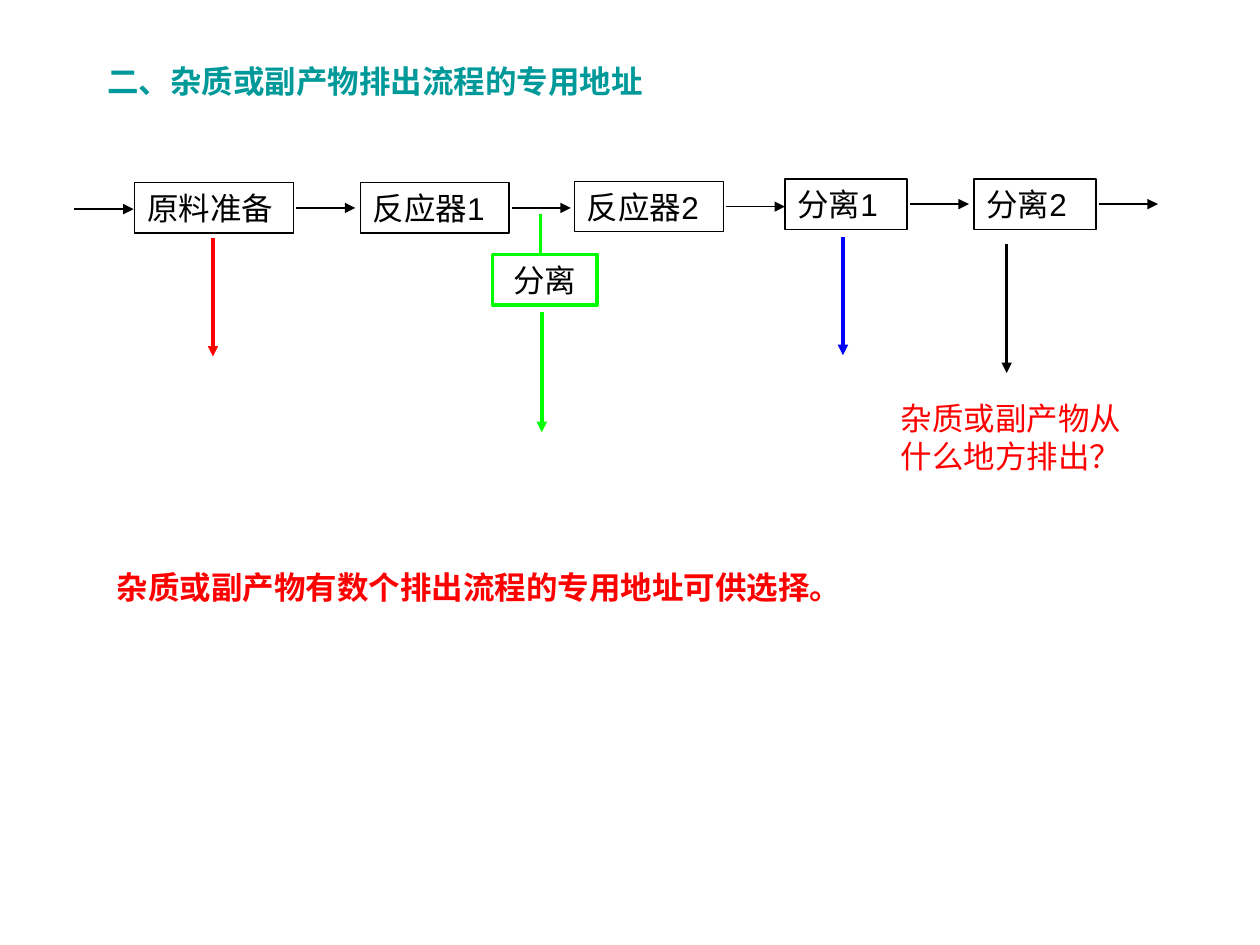
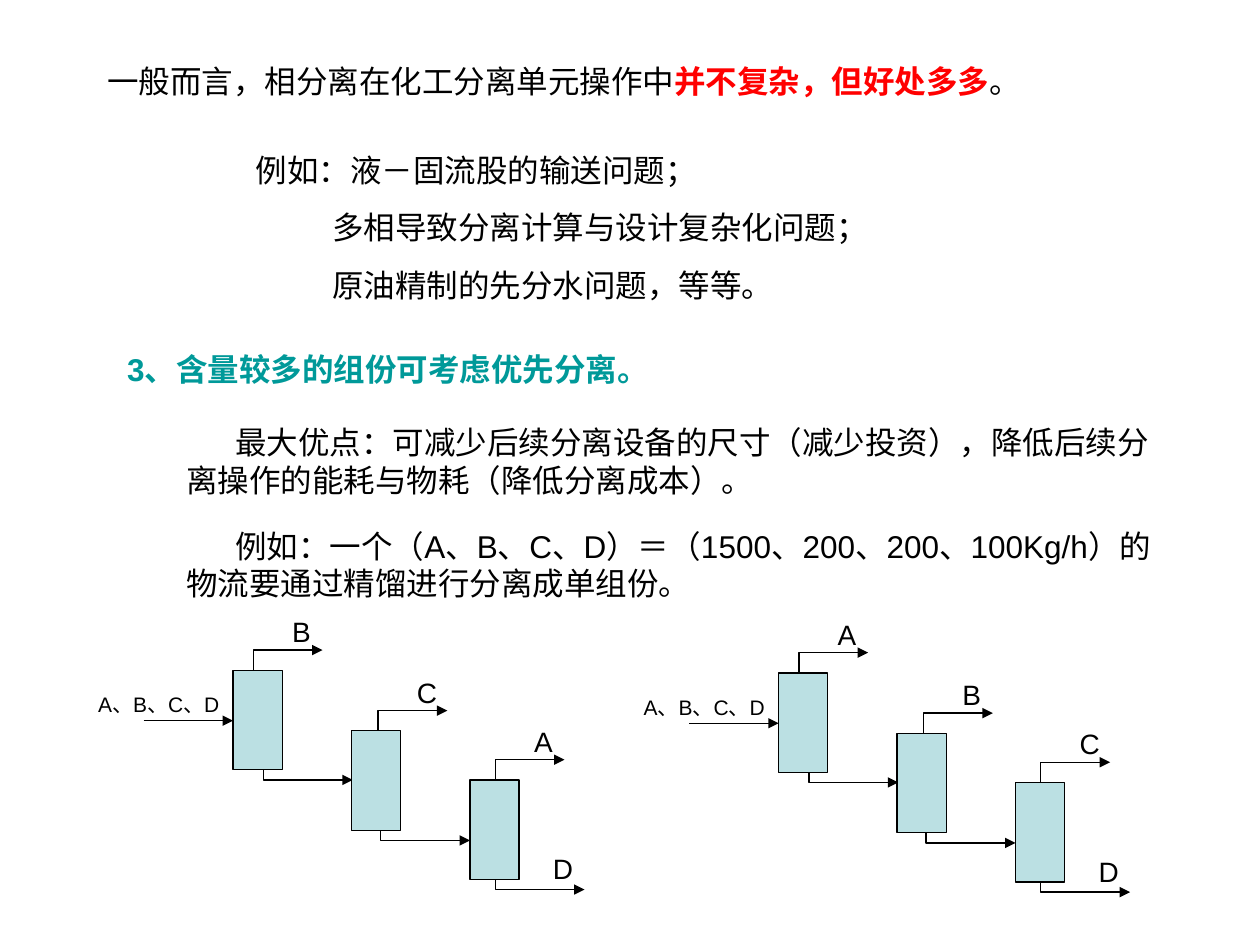
"""Builds two slides on by-product outlets and separation order."""
import pptx
import pptx.dml.color
import pptx.enum.shapes
import pptx.enum.text
import pptx.oxml.ns
import pptx.util
from lxml import etree

Inches = pptx.util.Inches
Pt = pptx.util.Pt
RGBColor = pptx.dml.color.RGBColor
ALIGN = pptx.enum.text.PP_ALIGN

BLACK = RGBColor(0x00, 0x00, 0x00)
TEAL = RGBColor(0x00, 0x99, 0x99)
RED = RGBColor(0xFF, 0x00, 0x00)
BLUE = RGBColor(0x00, 0x00, 0xFF)
GREEN = RGBColor(0x00, 0xFF, 0x00)
PALE_TEAL = RGBColor(0xBB, 0xE0, 0xE3)


class Deck:
    """Holds the shared style and the slide being drawn."""

    font = "Arial"
    body_size = 18
    thin = 0.75

    def __init__(self):
        self.presentation = pptx.Presentation()
        self.presentation.slide_width = Inches(10)
        self.presentation.slide_height = Inches(7.5)
        self.slide = None

    def add_slide(self, width, runs):
        """Start a slide whose title is a list of (text, colour, bold) runs."""
        layout = self.presentation.slide_layouts[5]
        self.slide = self.presentation.slides.add_slide(layout)
        title = self.slide.shapes.title
        title.left, title.top = Inches(0.75), Inches(0.44)
        title.width, title.height = Inches(width), Inches(0.4)
        self.fill_frame(title.text_frame, [""])
        paragraph = title.text_frame.paragraphs[0]
        for text, color, bold in runs:
            run = paragraph.add_run()
            run.text = text
            run.font.color.rgb = color
            run.font.bold = bold

    def fill_frame(self, frame, lines, size=body_size, color=BLACK, bold=False,
                   align=ALIGN.LEFT, first_indent=0, hanging_left=0):
        """Fill a frame; lines after the first start at hanging_left."""
        frame.word_wrap = True
        frame.auto_size = pptx.enum.text.MSO_AUTO_SIZE.NONE
        frame.vertical_anchor = pptx.enum.text.MSO_ANCHOR.TOP
        frame.margin_left = frame.margin_right = Inches(0.1)
        frame.margin_top = frame.margin_bottom = Inches(0.05)
        for number, line in enumerate(lines):
            paragraph = frame.add_paragraph() if number else frame.paragraphs[0]
            paragraph.text = line
            paragraph.alignment = align
            properties = paragraph._p.get_or_add_pPr()
            properties.set("marL", str(Inches(hanging_left if number else 0)))
            properties.set("indent", str(Inches(first_indent)))
            if number:
                paragraph.space_before = Pt(11.2)
            paragraph.font.name = self.font
            paragraph.font.size = Pt(size)
            paragraph.font.color.rgb = color
            paragraph.font.bold = bold

    def text(self, left, top, width, height, *lines, **style):
        """Add a text box."""
        box = self.slide.shapes.add_textbox(
            Inches(left), Inches(top), Inches(width), Inches(height))
        self.fill_frame(box.text_frame, lines, **style)

    def box(self, left, top, width, height, label=None, fill=None,
            color=BLACK, weight=thin, align=ALIGN.LEFT):
        """Add an outlined rectangle, with a label if given."""
        box = self.slide.shapes.add_shape(
            pptx.enum.shapes.MSO_SHAPE.RECTANGLE,
            Inches(left), Inches(top), Inches(width), Inches(height))
        box.shadow.inherit = False
        if fill is None:
            box.fill.background()
        else:
            box.fill.solid()
            box.fill.fore_color.rgb = fill
        self.outline(box, color, weight, arrow=False)
        if label:
            self.fill_frame(box.text_frame, [label], align=align)

    def outline(self, shape, color, weight, arrow):
        """Style a line and put an arrowhead at its end if asked."""
        shape.line.color.rgb = color
        shape.line.width = Pt(weight)
        if arrow:
            line = shape.line._get_or_add_ln()
            head = etree.SubElement(line, pptx.oxml.ns.qn("a:tailEnd"))
            head.set("type", "triangle")

    def line(self, x1, y1, x2, y2, color=BLACK, weight=thin, arrow=True):
        """Add a straight line."""
        line = self.slide.shapes.add_connector(
            pptx.enum.shapes.MSO_CONNECTOR.STRAIGHT,
            Inches(x1), Inches(y1), Inches(x2), Inches(y2))
        self.outline(line, color, weight, arrow)
        etree.SubElement(line._element.spPr, pptx.oxml.ns.qn("a:effectLst"))

    def bent_arrow(self, x, y, rise, run):
        """Add an arrow that goes vertically by rise, then right by run."""
        builder = self.slide.shapes.build_freeform(Inches(x), Inches(y))
        corner = (Inches(x), Inches(y + rise))
        end = (Inches(x + run), Inches(y + rise))
        builder.add_line_segments([corner, end], close=False)
        arrow = builder.convert_to_shape()
        arrow.shadow.inherit = False
        arrow.fill.background()
        self.outline(arrow, BLACK, self.thin, arrow=True)

    def distillation_train(self, left, top, overheads, residue):
        """Draw three columns in series with their feed and products."""
        width, height = 0.39, 0.79
        columns = [(0, 0, 0.16, 0.24), (0.94, 0.48, 0.21, 0.23),
                   (1.88, 0.87, 0.2, 0.2)]
        self.text(left - 1.17, top + 0.12, 1.18, 0.5, "A、B、C、D", size=12)
        self.line(left - 0.71, top + 0.4, left, top + 0.4)
        for product, (dx, dy, overhead, bottom) in zip(overheads, columns):
            x, y = left + dx, top + dy
            self.box(x, y, width, height, fill=PALE_TEAL)
            self.bent_arrow(x + overhead, y, -0.16, 0.55)
            self.bent_arrow(x + bottom, y + height, 0.08, 0.71)
            self.text(x + overhead + 0.21, y - 0.49, 0.39, 0.37, product, size=16)
        self.text(x + bottom + 0.36, y + height - 0.27, 0.39, 0.37, residue, size=16)


def build_outlets(deck):
    """Slide on where impurities leave the process."""
    deck.add_slide(6.61, [("二、杂质或副产物排出流程的专用地址", TEAL, True)])
    stages = [("原料准备", 1.07, 1.45, 1.26), ("反应器1", 2.86, 1.45, 1.18),
              ("反应器2", 4.56, 1.44, 1.18), ("分离1", 6.23, 1.42, 0.97),
              ("分离2", 7.73, 1.42, 0.97)]
    deck.line(0.59, 1.66, 1.06, 1.66)
    for label, left, top, width in stages:
        deck.box(left, top, width, 0.4, label)
        outlet = left + width + 0.02
        deck.line(outlet, top + 0.2, outlet + 0.47, top + 0.2)

    outlets = [(7.99, 1.94, 2.96, BLACK, 1.5), (1.69, 1.89, 2.83, RED, 2),
               (6.69, 1.88, 2.82, BLUE, 2), (4.3, 2.48, 3.43, GREEN, 2)]
    for x, top, bottom, color, weight in outlets:
        deck.line(x, top, x, bottom, color, weight)
    deck.box(3.91, 2.02, 0.83, 0.4, "分离", color=GREEN, weight=2,
             align=ALIGN.CENTER)
    deck.line(4.29, 1.7, 4.29, 2.02, GREEN, 2, arrow=False)

    deck.text(7.05, 3.12, 2.05, 0.7, "杂质或副产物从什么地方排出？", color=RED)
    deck.text(0.83, 4.46, 6.54, 0.4,
              "杂质或副产物有数个排出流程的专用地址可供选择。",
              color=RED, bold=True)


def build_separation_order(deck):
    """Slide on separating the most abundant component first."""
    deck.add_slide(8.19, [("一般而言，相分离在化工分离单元操作中", BLACK, False),
                          ("并不复杂，但好处多多", RED, True),
                          ("。", BLACK, False)])
    deck.text(1.93, 1.15, 6.93, 1.32, "例如：液－固流股的输送问题；",
              "多相导致分离计算与设计复杂化问题；",
              "原油精制的先分水问题，等等。", hanging_left=0.61)
    deck.text(0.91, 2.73, 5.51, 0.4, "3、含量较多的组份可考虑优先分离。",
              color=TEAL, bold=True)
    deck.text(1.38, 3.31, 7.87, 0.7,
              "最大优点：可减少后续分离设备的尺寸（减少投资），"
              "降低后续分离操作的能耗与物耗（降低分离成本）。",
              first_indent=0.39)
    deck.text(1.38, 4.13, 7.87, 0.7,
              "例如：一个（A、B、C、D）＝（1500、200、200、100Kg/h）"
              "的物流要通过精馏进行分离成单组份。",
              first_indent=0.39)
    deck.distillation_train(1.85, 5.32, "BCA", "D")
    deck.distillation_train(6.18, 5.34, "ABC", "D")


def main():
    """Build and save both slides."""
    deck = Deck()
    build_outlets(deck)
    build_separation_order(deck)
    deck.presentation.save("out.pptx")


if __name__ == "__main__":
    main()
